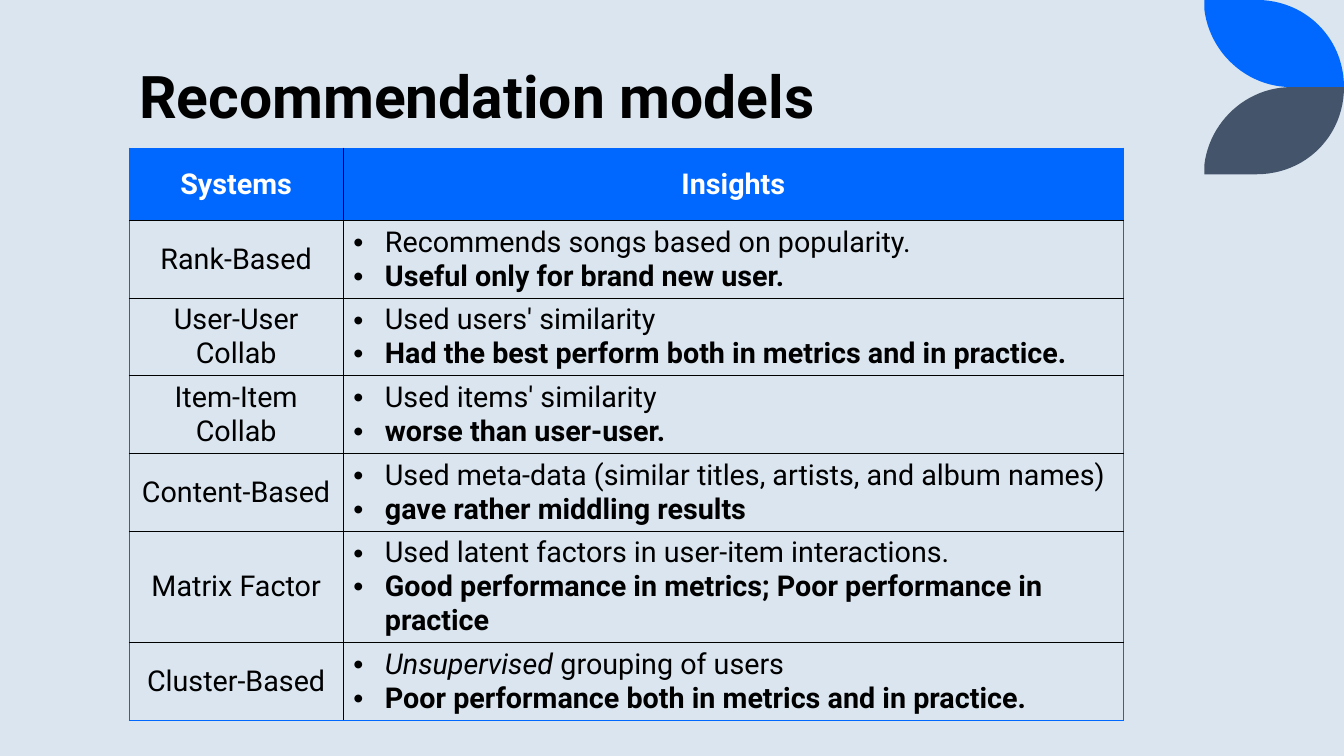
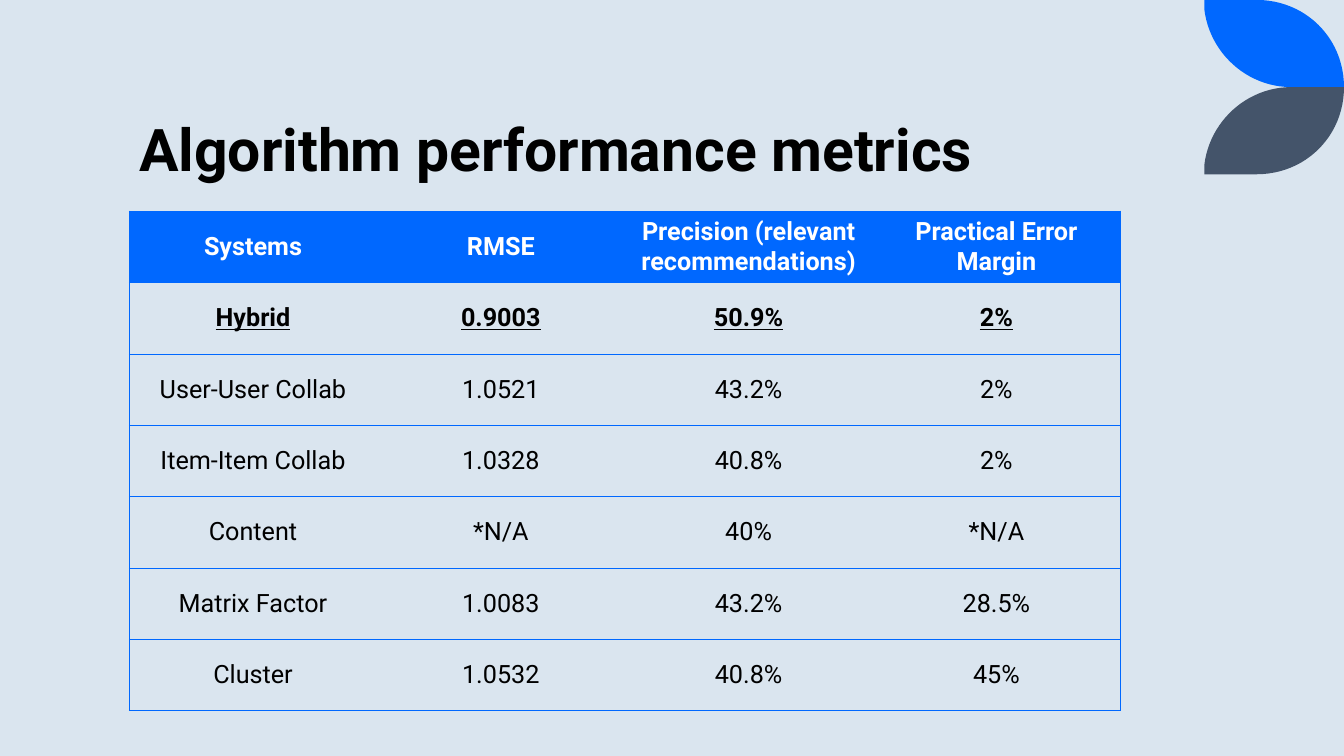
from lxml.etree import SubElement
from pptx import Presentation
from pptx.dml.color import RGBColor
from pptx.enum.text import MSO_ANCHOR, MSO_AUTO_SIZE, PP_ALIGN
from pptx.oxml.ns import qn
from pptx.util import Emu, Pt

FONT = "Roboto"
BLUE = RGBColor(0x00, 0x68, 0xFF)
SLATE = RGBColor(0x44, 0x54, 0x6A)
PALE = RGBColor(0xDA, 0xE5, 0xEF)
BLACK = RGBColor(0, 0, 0)
WHITE = RGBColor(0xFF, 0xFF, 0xFF)

FRAME = (BLUE, 0.5)
RULE = (BLACK, 1)

SLIDE_WIDTH, SLIDE_HEIGHT = 1280, 720
CONTENT_LEFT = 123
BULLET_INDENT = 30
LEAF_HEIGHT = 83
CURVE_STEPS = 24

MODELS = [
    ("Rank-Based", "", "Recommends songs based on popularity.",
     "Useful only for brand new user."),
    ("User-User Collab", "", "Used users' similarity",
     "Had the best perform both in metrics and in practice."),
    ("Item-Item Collab", "", "Used items' similarity",
     "worse than user-user."),
    ("Content-Based", "", "Used meta-data (similar titles, artists, and album names)",
     "gave rather middling results"),
    ("Matrix Factor", "", "Used latent factors in user-item interactions.",
     "Good performance in metrics; Poor performance in practice"),
    ("Cluster-Based", "Unsupervised", " grouping of users",
     "Poor performance both in metrics and in practice."),
]

METRICS_HEADER = ["Systems", "RMSE", "Precision (relevant recommendations)",
                  "Practical Error Margin"]
METRICS = [
    ("Hybrid", "0.9003", "50.9%", "2%"),
    ("User-User Collab", "1.0521", "43.2%", "2%"),
    ("Item-Item Collab", "1.0328", "40.8%", "2%"),
    ("Content", "*N/A", "40%", "*N/A"),
    ("Matrix Factor", "1.0083", "43.2%", "28.5%"),
    ("Cluster", "1.0532", "40.8%", "45%"),
]


def px(length):
    return Emu(round(length * 9525))


def curve(p0, p1, p2, p3):
    """Points along a cubic Bezier curve, without its start."""
    points = []
    for step in range(1, CURVE_STEPS + 1):
        t = step / CURVE_STEPS
        weights = ((1 - t) ** 3, 3 * t * (1 - t) ** 2, 3 * t * t * (1 - t), t ** 3)
        points.append(tuple(sum(w * p[axis] for w, p in zip(weights, (p0, p1, p2, p3)))
                            for axis in (0, 1)))
    return points


def leaf_outline():
    return [(1147, 0), (1197, 0),
            *curve((1197, 0), (1243, 0), (1280, 36), (1280, LEAF_HEIGHT)),
            (1230, LEAF_HEIGHT),
            *curve((1230, LEAF_HEIGHT), (1187, LEAF_HEIGHT), (1152, 50), (1147, 9))]


def add_leaf(slide, outline, color):
    start, *rest = [(px(x), px(y)) for x, y in outline]
    builder = slide.shapes.build_freeform(*start)
    builder.add_line_segments(rest, close=True)
    leaf = builder.convert_to_shape()
    leaf.fill.solid()
    leaf.fill.fore_color.rgb = color
    leaf.line.fill.background()
    leaf.shadow.inherit = False
    return leaf


def decorate_layout(layout, slide):
    """Draw the two leaves on the slide, then move them to the layout."""
    upper = leaf_outline()
    lower = [(x, 2 * LEAF_HEIGHT - y) for x, y in upper]
    for shape_id, (outline, color) in enumerate([(upper, BLUE), (lower, SLATE)], 100):
        leaf = add_leaf(slide, outline, color).element
        leaf.find(".//" + qn("p:cNvPr")).set("id", str(shape_id))
        layout.shapes.element.append(leaf)


def style_font(paragraph, size, color, bold=False, underline=None):
    font = paragraph.font
    font.name = FONT
    font.size = Pt(size)
    font.color.rgb = color
    font.bold = bold
    font.underline = underline


def set_title(slide, text, anchor):
    title = slide.shapes.title
    title.left, title.top = px(CONTENT_LEFT), px(14)
    title.width, title.height = px(1026), px(165)
    frame = title.text_frame
    frame.text = text
    frame.word_wrap = True
    frame.auto_size = MSO_AUTO_SIZE.NONE
    frame.vertical_anchor = anchor
    paragraph = frame.paragraphs[0]
    paragraph.alignment = PP_ALIGN.LEFT
    paragraph.line_spacing = 0.8
    style_font(paragraph, 42, BLACK, bold=True)


def set_border(cell, side, border):
    """Give one side a (colour, width) line, or none."""
    properties = cell._tc.get_or_add_tcPr()
    line = SubElement(properties, qn(f"a:ln{side}"))
    if border is None:
        SubElement(line, qn("a:noFill"))
        return
    color, width = border
    line.set("w", str(Pt(width)))
    fill = SubElement(line, qn("a:solidFill"))
    SubElement(fill, qn("a:srgbClr")).set("val", str(color))


def add_grid(slide, top, column_widths, row_count, row_height, vertical, horizontal):
    """Add an empty table with a blue frame, the given inner lines and a blue header."""
    table = slide.shapes.add_table(
        row_count, len(column_widths), px(CONTENT_LEFT), px(top),
        px(sum(column_widths)), px(row_height * row_count)).table
    table.first_row = table.horz_banding = False
    for column, width in zip(table.columns, column_widths):
        column.width = px(width)
    last_row, last_column = row_count - 1, len(column_widths) - 1
    for r in range(row_count):
        for c in range(len(column_widths)):
            cell = table.cell(r, c)
            set_border(cell, "L", FRAME if c == 0 else vertical)
            set_border(cell, "R", FRAME if c == last_column else vertical)
            set_border(cell, "T", FRAME if r == 0 else horizontal)
            set_border(cell, "B", FRAME if r == last_row else horizontal)
            cell.vertical_anchor = MSO_ANCHOR.MIDDLE
            if r == 0:
                cell.fill.solid()
                cell.fill.fore_color.rgb = BLUE
            else:
                cell.fill.background()
    return table


def fill_centred(cell, text, size, color=BLACK, bold=False, underline=None):
    cell.text_frame.text = text
    paragraph = cell.text_frame.paragraphs[0]
    paragraph.alignment = PP_ALIGN.CENTER
    style_font(paragraph, size, color, bold, underline)


def fill_header(table, labels, size):
    for c, label in enumerate(labels):
        fill_centred(table.cell(0, c), label, size, WHITE, bold=True)


def make_bullet(paragraph):
    properties = paragraph._p.get_or_add_pPr()
    properties.set("marL", str(px(BULLET_INDENT)))
    properties.set("indent", str(px(-BULLET_INDENT)))
    SubElement(properties, qn("a:buFont")).set("typeface", "Arial")
    SubElement(properties, qn("a:buChar")).set("char", "•")


def fill_insights(cell, italic_lead, fact, verdict, size):
    fact_line = cell.text_frame.paragraphs[0]
    verdict_line = cell.text_frame.add_paragraph()
    for paragraph, bold in ((fact_line, False), (verdict_line, True)):
        make_bullet(paragraph)
        style_font(paragraph, size, BLACK, bold)
    if italic_lead:
        lead = fact_line.add_run()
        lead.text = italic_lead
        lead.font.italic = True
    fact_line.add_run().text = fact
    verdict_line.add_run().text = verdict


def build_models(slide):
    size = 20.5
    set_title(slide, "Recommendation models", MSO_ANCHOR.MIDDLE)
    table = add_grid(slide, 141, [204, 743], len(MODELS) + 1, 69, RULE, RULE)
    fill_header(table, ["Systems", "Insights"], size)
    for r, (system, *insights) in enumerate(MODELS, 1):
        fill_centred(table.cell(r, 0), system, size)
        fill_insights(table.cell(r, 1), *insights, size)


def build_metrics(slide):
    size = 18
    set_title(slide, "Algorithm performance metrics", MSO_ANCHOR.BOTTOM)
    table = add_grid(slide, 201, [236] * 4, len(METRICS) + 1, 68, None, FRAME)
    fill_header(table, METRICS_HEADER, size)
    for r, values in enumerate(METRICS, 1):
        best = r == 1
        for c, value in enumerate(values):
            fill_centred(table.cell(r, c), value, size, bold=best, underline=best)


def main():
    presentation = Presentation()
    presentation.slide_width = px(SLIDE_WIDTH)
    presentation.slide_height = px(SLIDE_HEIGHT)
    background = presentation.slide_master.background.fill
    background.solid()
    background.fore_color.rgb = PALE

    title_only = presentation.slide_layouts[5]
    models = presentation.slides.add_slide(title_only)
    decorate_layout(title_only, models)
    build_models(models)
    build_metrics(presentation.slides.add_slide(title_only))
    presentation.save("out.pptx")


if __name__ == "__main__":
    main()
